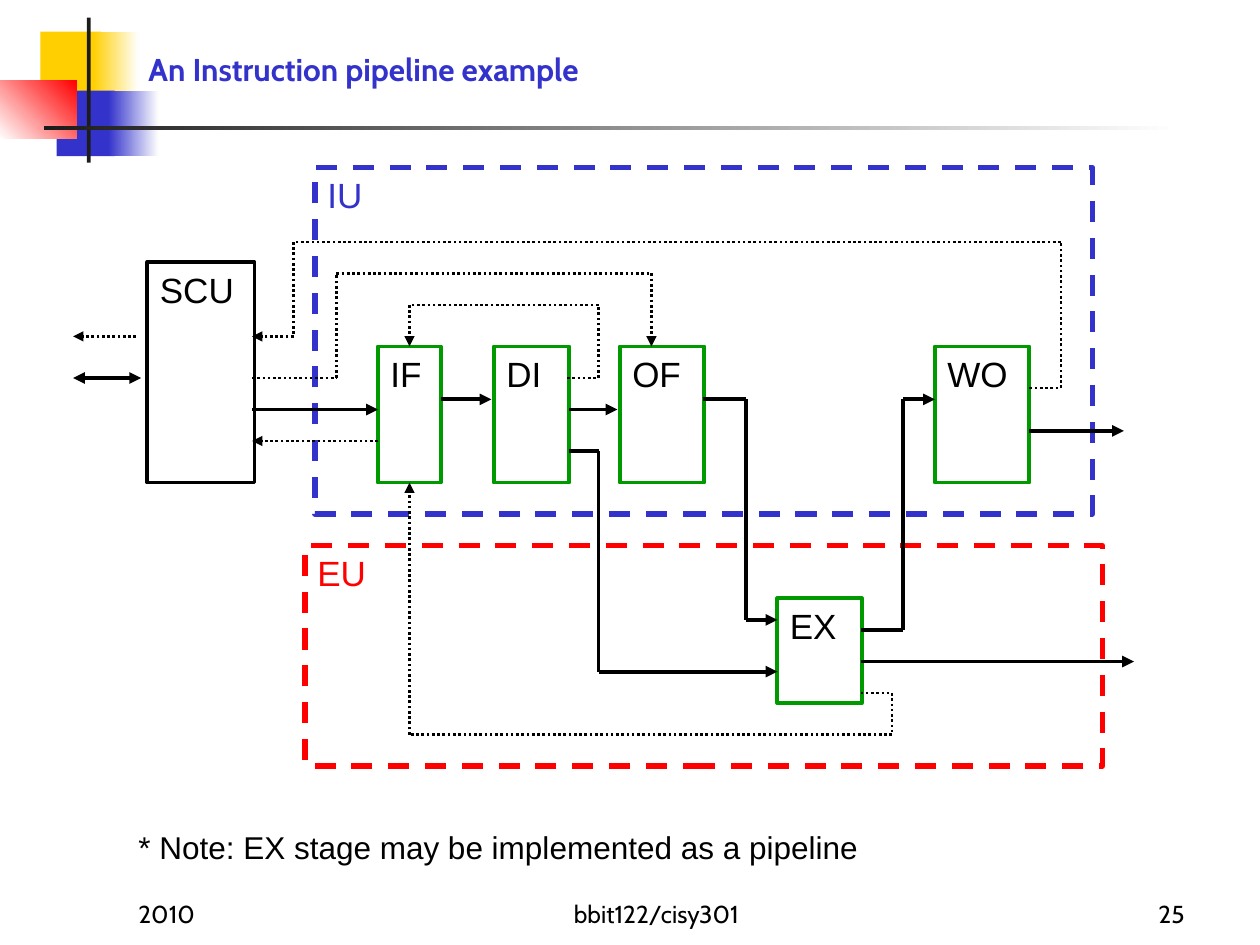
from itertools import pairwise

from lxml import etree
from pptx import Presentation, util as u
from pptx.dml.color import RGBColor
from pptx.enum import dml, shapes, text
from pptx.oxml.ns import qn

PX = 9144  # 100 px to the inch
COLORS = {"yellow": "FFCF01", "blue": "3333CC", "red": "FF0000", "green": "009900",
          "dark": "1C1C1C", "black": "000000", "white": "FFFFFF"}

# Corner decoration: left, top, width, height, colour or (from, to, angle)
DECOR = [
    (32, 25, 48, 52, "yellow"),
    (74, 25, 36, 52, ("yellow", "white", 0)),
    (45, 72, 46, 52, "blue"),
    (86, 72, 40, 52, ("blue", "white", 0)),
    (0, 64, 61, 46, ("white", "red", 45)),
    (69, 14, 3, 115, "dark"),
    (35, 100, 900, 3, ("dark", "white", 0)),
]

# Texts: words, box, size, font, colour, bold, alignment, anchor
TOP, BOTTOM = text.MSO_ANCHOR.TOP, text.MSO_ANCHOR.BOTTOM
LEFT, CENTER, RIGHT = text.PP_ALIGN.LEFT, text.PP_ALIGN.CENTER, text.PP_ALIGN.RIGHT
TEXTS = [
    ("An Instruction pipeline example", (108, 33, 817, 42), 18, "Cabin", "blue", True, LEFT, BOTTOM),
    ("* Note: EX stage may be implemented as a pipeline", (100, 652, 667, 41), 18, "Arial",
     "black", False, LEFT, TOP),
    ("2010", (100, 692, 208, 50), 14, "Cabin", "black", False, LEFT, BOTTOM),
    ("bbit122/cisy301", (325, 692, 392, 50), 14, "Cabin", "black", False, CENTER, BOTTOM),
    ("25", (767, 692, 183, 50), 14, "Cabin", "black", False, RIGHT, BOTTOM),
]

# Units and stages: label, box, line colour, line width, dashed, text colour
BLOCKS = [
    ("EU", (242, 433, 633, 175), "red", 3, True, "red"),
    ("IU", (250, 133, 617, 275), "blue", 3, True, "blue"),
    ("SCU", (117, 208, 85, 175), "black", 2.25, False, "black"),
    ("IF", (300, 275, 50, 108), "green", 2.25, False, "black"),
    ("DI", (392, 275, 60, 108), "green", 2.25, False, "black"),
    ("OF", (492, 275, 67, 108), "green", 2.25, False, "black"),
    ("EX", (617, 475, 67, 83), "green", 2.25, False, "black"),
    ("WO", (742, 275, 75, 108), "green", 2.25, False, "black"),
]

# Data paths (solid); each route ends in an arrowhead
DATA = [
    [(200, 325), (300, 325)],
    [(350, 317), (390, 317)],
    [(452, 325), (490, 325)],
    [(452, 358), (475, 358), (475, 533), (617, 533)],
    [(558, 317), (592, 317), (592, 492), (617, 492)],
    [(683, 500), (717, 500), (717, 317), (742, 317)],
    [(817, 342), (892, 342)],
    [(683, 525), (900, 525)],
]
BUS = [(58, 300), (112, 300)]  # arrowheads at both ends

# Control paths (dotted): points, and the stage side the arrow joins
CONTROL = [
    ([(450, 300), (475, 300), (475, 242), (325, 242), (325, 275)], ("IF", 0)),
    ([(683, 550), (708, 550), (708, 583), (325, 583), (325, 383)], ("IF", 2)),
    ([(200, 300), (267, 300), (267, 217), (517, 217), (517, 275)], None),
    ([(817, 308), (842, 308), (842, 192), (233, 192), (233, 267), (200, 267)], None),
    ([(300, 350), (200, 350)], None),
    ([(108, 267), (58, 267)], None),
]


def rgb(name):
    return RGBColor.from_string(COLORS[name])


def add_rect(slide, box, fill):
    sp = slide.shapes.add_shape(shapes.MSO_SHAPE.RECTANGLE, *(v * PX for v in box))
    sp.shadow.inherit = False
    sp.line.fill.background()
    if isinstance(fill, tuple):
        *ends, angle = fill
        sp.fill.gradient()
        sp.fill.gradient_angle = angle
        for stop, name, pos in zip(sp.fill.gradient_stops, ends, (0, 1)):
            stop.color.rgb = rgb(name)
            stop.position = pos
    else:
        sp.fill.solid()
        sp.fill.fore_color.rgb = rgb(fill)
    return sp


def write(sp, words, size, font, color, bold=False, align=LEFT, anchor=TOP):
    tf = sp.text_frame
    tf.text = words
    tf.word_wrap = True
    tf.vertical_anchor = anchor
    p = tf.paragraphs[0]
    p.alignment = align
    f = p.runs[0].font
    f.size, f.name, f.bold = u.Pt(size), font, bold
    f.color.rgb = rgb(color)


def add_line(slide, start, end, dotted=False, heads=()):
    c = slide.shapes.add_connector(shapes.MSO_CONNECTOR.STRAIGHT,
                                   *(v * PX for v in start + end))
    c.line.color.rgb = rgb("black")
    c.line.width = u.Pt(1.5 if dotted else 2.25)
    if dotted:
        c.line.dash_style = dml.MSO_LINE.ROUND_DOT
    ln = c.line._get_or_add_ln()
    for head in heads:
        etree.SubElement(ln, qn(f"a:{head}"), type="triangle")
    etree.SubElement(c._element.spPr, qn("a:effectLst"))
    return c


def add_route(slide, points, dotted=False):
    """Draw the segments of a route and return the last, which has the arrowhead."""
    *firsts, last = pairwise(points)
    for start, end in firsts:
        add_line(slide, start, end, dotted)
    return add_line(slide, *last, dotted, ["tailEnd"])


def main():
    prs = Presentation()
    prs.slide_width, prs.slide_height = 1000 * PX, 750 * PX
    s = prs.slides.add_slide(prs.slide_layouts[6])

    for *box, fill in DECOR:
        add_rect(s, box, fill)

    for words, box, *style in TEXTS:
        write(s.shapes.add_textbox(*(v * PX for v in box)), words, *style)

    # Units and stages
    blocks = {}
    for label, box, line, width, dashed, color in BLOCKS:
        sp = blocks[label] = add_rect(s, box, "white")
        sp.line.color.rgb = rgb(line)
        sp.line.width = u.Pt(width)
        if dashed:
            sp.line.dash_style = dml.MSO_LINE.DASH
        write(sp, label, 20, "Arial", color)

    # Data and control paths
    for points in DATA:
        add_route(s, points)
    add_line(s, *BUS, heads=["headEnd", "tailEnd"])
    for points, joint in CONTROL:
        c = add_route(s, points, dotted=True)
        if joint:
            label, side = joint
            c.end_connect(blocks[label], side)

    prs.save("out.pptx")


if __name__ == "__main__":
    main()
